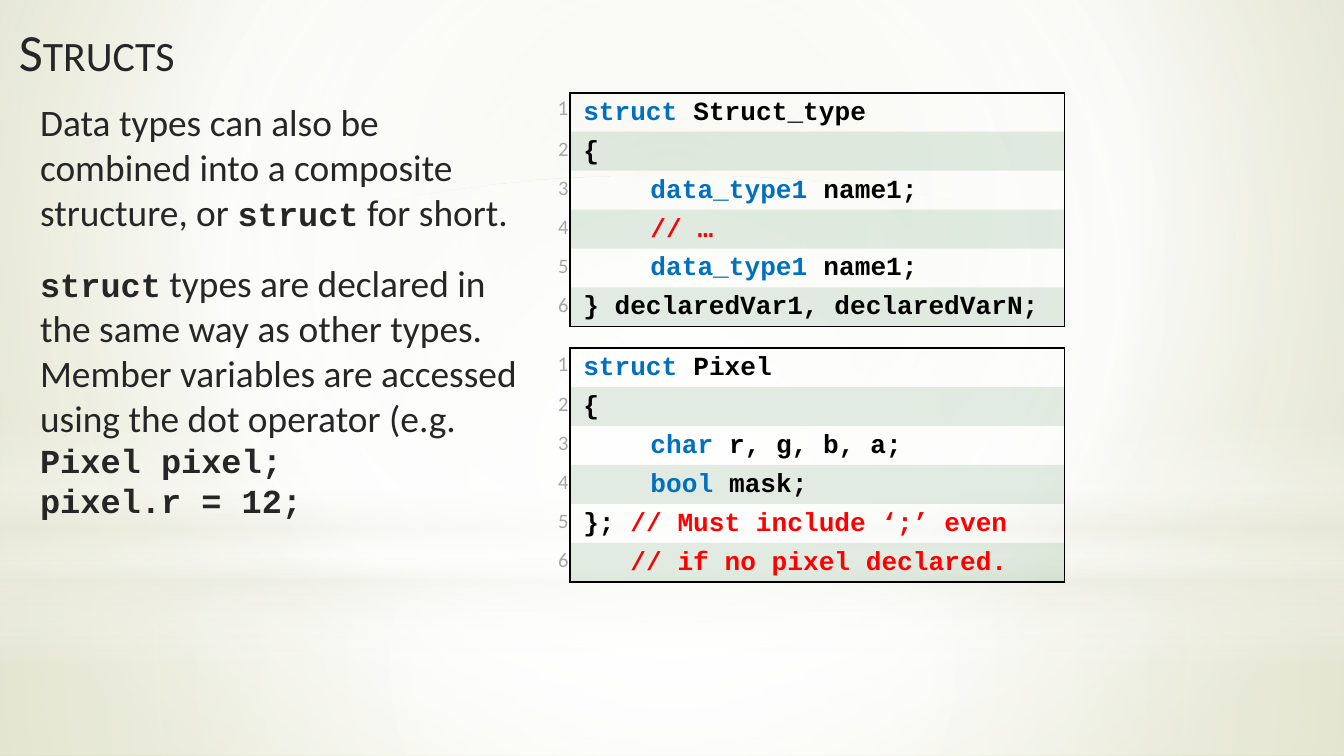
from typing import Any, NamedTuple

from lxml.etree import SubElement as Sub
from pptx import Presentation
from pptx.dml.color import RGBColor as Rgb
from pptx.enum.shapes import MSO_SHAPE as Kind
from pptx.enum.text import MSO_ANCHOR as Anchor, PP_ALIGN as Align
from pptx.oxml import parse_xml
from pptx.oxml.ns import nsdecls, qn
from pptx.util import Emu, Inches, Pt

COLS, ROWS = 100, 56.25
WIDE, TALL = Inches(10), Inches(5.625)
BLACK, GREEN, DARK = "000000", "72A376", "262626"
PLAIN_ID = "{2D5ABB26-0587-4C30-8999-92F81FD0307C}"
SIDE = 3.4
CODE = 36.8
LINE = 2.9


class Area(NamedTuple):
    col: float
    row: float
    cols: float
    rows: float


class Stop(NamedTuple):
    pos: int
    tint: str
    alpha: int = 100


class Glow(NamedTuple):
    kind: Any
    area: Area
    stops: list[Stop]
    shade: str


class Run(NamedTuple):
    text: str
    look: str


class Code(NamedTuple):
    row: float
    lines: list[list[Run]]


def color(tint: str) -> Rgb:
    return Rgb.from_string(tint)


def look(face: str, size: float, tint: str, bold: bool = False) -> dict[str, Any]:
    return {"name": face, "size": Pt(size), "bold": bold, "tint": tint}


LOOKS = {
    "title": look("Calibri", 28, DARK),
    "body": look("Calibri", 20, DARK),
    "mono": look("Courier New", 18, DARK, True),
    "first": look("Lato", 10, "A6A6A6"),
    "count": look("Calibri", 11, "A6A6A6"),
    "word": look("Courier New", 14, "0070C0", True),
    "code": look("Courier New", 14, BLACK, True),
    "note": look("Courier New", 14, "FF0000", True),
}


def radial(left: int, top: int, right: int, bottom: int) -> str:
    return (f'<a:path path="circle"><a:fillToRect l="{left}000" t="{top}000" '
            f'r="{right}000" b="{bottom}000"/></a:path>')


MID = radial(50, 50, 50, 50)
DOWN = '<a:lin ang="5400000" scaled="0"/>'
BACK = [Stop(0, "E3E5D1"), Stop(60, "FFFFFF"), Stop(100, "CCD09F")]
GLOWS = [
    Glow(Kind.RECTANGLE, Area(0, 41.9, COLS, 14.35),
         [Stop(0, "FFFFFF", 91), Stop(37, "FFFFFF", 76), Stop(100, "EAEBDE", 79)], MID),
    Glow(Kind.RECTANGLE, Area(0, 0, COLS, 41.9),
         [Stop(0, "FFFFFF", 89), Stop(48, "FFFFFF", 62), Stop(100, "EAEBDE", 79)], MID),
    Glow(Kind.RECTANGLE, Area(0, 30.9, COLS, 18.8),
         [Stop(0, "FFFFFF", 0), Stop(29, "FFFFFF", 30), Stop(45, "EAEBDE", 40),
          Stop(55, "FFFFFF", 26), Stop(65, "EAEBDE", 60), Stop(100, "FFFFFF", 0)], DOWN),
    Glow(Kind.OVAL, Area(0, 13.1, COLS, 41.9),
         [Stop(0, "FFFFFF"), Stop(56, "FFFFFF", 0)], MID),
]
TEXTS = [
    (Area(2, 6.9, 38.6, 11.1), [
        Run("Data types can also be combined into a composite structure, or ", "body"),
        Run("struct", "mono"), Run(" for short.", "body")]),
    (Area(2, 18.9, 38.6, 24.2), [
        Run("struct", "mono"),
        Run(" types are declared in the same way as other types. Member variables "
            "are accessed using the dot operator (e.g. ", "body"),
        Run("Pixel pixel;\npixel.r = 12;", "mono")]),
]
FIELD = [Run("\tdata_type1 ", "word"), Run("name1;", "code")]
CODES = [
    Code(6.9, [
        [Run("struct ", "word"), Run("Struct_type", "code")],
        [Run("{", "code")],
        FIELD,
        [Run("\t// …", "note")],
        FIELD,
        [Run("} declaredVar1, declaredVarN;", "code")]]),
    Code(25.9, [
        [Run("struct ", "word"), Run("Pixel", "code")],
        [Run("{", "code")],
        [Run("\tchar ", "word"), Run("r, g, b, a;", "code")],
        [Run("\tbool ", "word"), Run("mask;", "code")],
        [Run("}; ", "code"), Run("// Must include ‘;’ even", "note")],
        [Run("   ", "code"), Run("// if no pixel declared.", "note")]]),
]


def across(cols: float) -> Emu:
    return Emu(round(WIDE * cols / COLS))


def down(rows: float) -> Emu:
    return Emu(round(TALL * rows / ROWS))


def place(area: Area) -> tuple[Emu, Emu, Emu, Emu]:
    return across(area.col), down(area.row), across(area.cols), down(area.rows)


def apply(item: Any, form: dict[str, Any]) -> None:
    for key, value in form.items():
        setattr(item, key, value)


def blend(stops: list[Stop], shade: str) -> Any:
    marks = "".join(
        f'<a:gs pos="{s.pos}000"><a:srgbClr val="{s.tint}">'
        f'<a:alpha val="{s.alpha}000"/></a:srgbClr></a:gs>' for s in stops)
    return parse_xml(f'<a:gradFill {nsdecls("a")} rotWithShape="1">'
                     f'<a:gsLst>{marks}</a:gsLst>{shade}</a:gradFill>')


def write(para: Any, runs: list[Run]) -> None:
    for run in runs:
        for turn, text in enumerate(run.text.split("\n")):
            if turn:
                para.add_line_break()
            part = para.add_run()
            part.text = text
            form = dict(LOOKS[run.look])
            part.font.color.rgb = color(form.pop("tint"))
            apply(part.font, form)


def draw_back(slide: Any) -> None:
    slide.background.fill.solid()
    old = slide.background.fill._xPr.find(qn("a:solidFill"))
    old.getparent().replace(old, blend(BACK, radial(20, 10, 20, 60)))


def draw_glow(slide: Any, glow: Glow) -> None:
    shape = slide.shapes.add_shape(glow.kind, *place(glow.area))
    shape.shadow.inherit = False
    shape.line.fill.background()
    shape.fill.solid()
    old = shape._element.spPr.find(qn("a:solidFill"))
    old.getparent().replace(old, blend(glow.stops, glow.shade))


def draw_title(slide: Any) -> None:
    title = slide.shapes.title
    apply(title, dict(zip(("left", "top", "width", "height"),
                          place(Area(0.4, 0.6, 42.5, 6.3)))))
    apply(title.text_frame, {"vertical_anchor": Anchor.MIDDLE, "word_wrap": True})
    para = title.text_frame.paragraphs[0]
    para.alignment = Align.LEFT
    write(para, [Run("Structs", "title")])
    para.runs[0].font._element.set("cap", "small")
    slide.shapes._spTree.append(title._element)


def draw_text(slide: Any, area: Area, runs: list[Run]) -> None:
    frame = slide.shapes.add_textbox(*place(area)).text_frame
    frame.word_wrap = True
    write(frame.paragraphs[0], runs)


def edge(cell: Any, sides: str) -> None:
    props = cell._tc.get_or_add_tcPr()
    for spot, side in enumerate(sides):
        props.insert(spot, parse_xml(
            f'<a:ln{side} {nsdecls("a")} w="12700"><a:solidFill>'
            f'<a:srgbClr val="{BLACK}"/></a:solidFill></a:ln{side}>'))


def fill_cell(cell: Any, runs: list[Run], form: dict[str, Any]) -> None:
    inset = Inches(0.01)
    apply(cell, {f"margin_{side}": inset for side in ("left", "right", "top", "bottom")})
    cell.fill.background()
    para = cell.text_frame.paragraphs[0]
    apply(para, {"line_spacing": 1.15, **form})
    write(para, runs)


def draw_code(slide: Any, code: Code) -> None:
    size = len(code.lines)
    area = Area(39, code.row, SIDE + CODE, LINE * size)
    table = slide.shapes.add_table(size, 2, *place(area)).table
    apply(table, {"first_row": False, "horz_banding": False})
    table._tbl.tblPr.find(qn("a:tableStyleId")).text = PLAIN_ID
    for col, width in zip(table.columns, (SIDE, CODE)):
        col.width = across(width)
    for row, runs in enumerate(code.lines):
        table.rows[row].height = down(LINE)
        count, cell = table.cell(row, 0), table.cell(row, 1)
        fill_cell(count, [Run(str(row + 1), "count" if row else "first")],
                  {"alignment": Align.RIGHT})
        fill_cell(cell, runs, {"alignment": Align.LEFT})
        cell.text_frame.paragraphs[0]._p.get_or_add_pPr().set("marL", str(Inches(0.09)))
        if row % 2:
            cell.fill.solid()
            cell.fill.fore_color.rgb = color(GREEN)
            tint = cell._tc.tcPr.find(".//" + qn("a:srgbClr"))
            Sub(tint, qn("a:alpha"), val="20000")
        edge(cell, "LR" + "T" * (row == 0) + "B" * (row == size - 1))


def main() -> None:
    deck = Presentation()
    apply(deck, {"slide_width": WIDE, "slide_height": TALL})
    slide = deck.slides.add_slide(deck.slide_layouts[5])
    draw_back(slide)
    for glow in GLOWS:
        draw_glow(slide, glow)
    draw_title(slide)
    for code in CODES:
        draw_code(slide, code)
    for area, runs in TEXTS:
        draw_text(slide, area, runs)
    deck.save("out.pptx")


if __name__ == "__main__":
    main()
